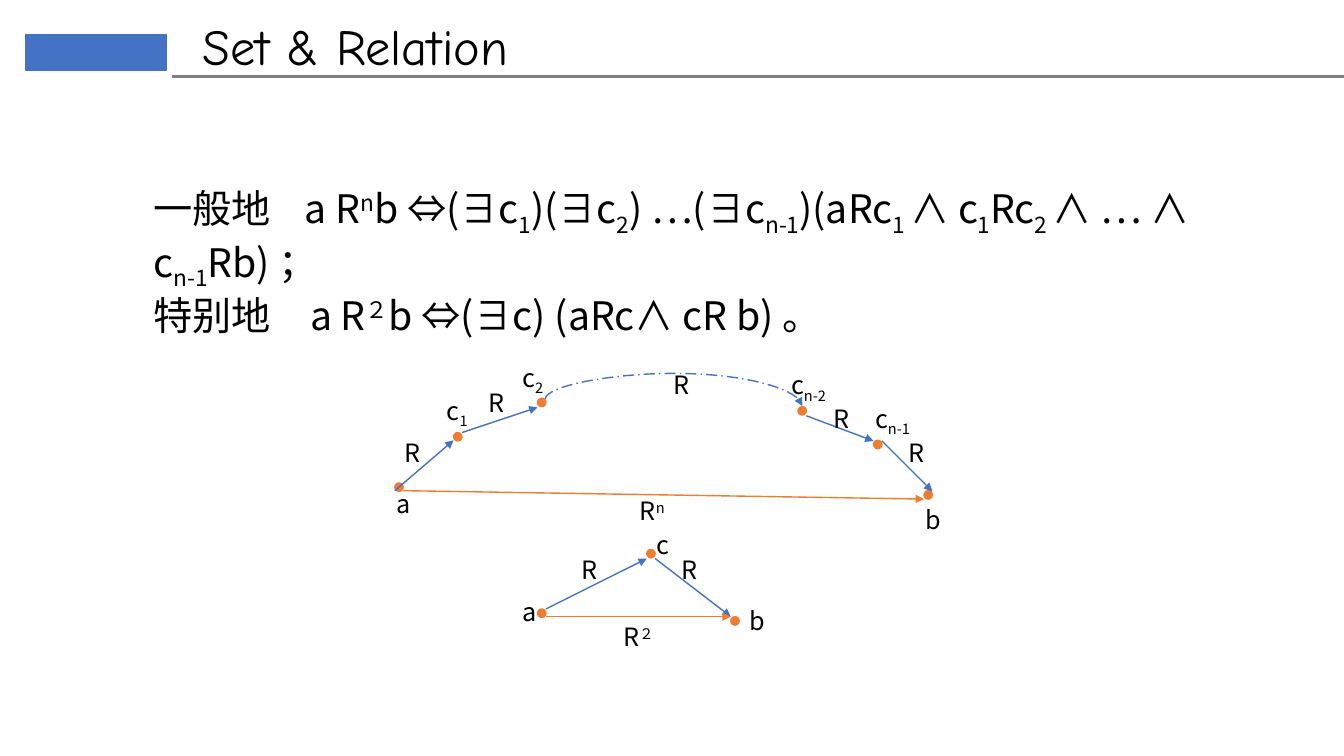
from dataclasses import dataclass

from lxml.etree import SubElement
from pptx import Presentation
from pptx.dml.color import RGBColor
from pptx.enum.dml import MSO_LINE
from pptx.enum.shapes import MSO_CONNECTOR, MSO_SHAPE
from pptx.enum.text import MSO_ANCHOR, MSO_AUTO_SIZE, PP_ALIGN
from pptx.oxml.ns import qn
from pptx.shapes.connector import Connector
from pptx.slide import Slide
from pptx.text.text import TextFrame, _Paragraph
from pptx.util import Pt

BLUE = RGBColor(0x44, 0x72, 0xC4)
ORANGE = RGBColor(0xED, 0x7D, 0x31)
GRAY = RGBColor(0x80, 0x80, 0x80)
BLACK = RGBColor(0x00, 0x00, 0x00)
TEXT_FONT = "Noto Sans CJK SC"
TITLE_FONT = "Comic Neue"
SUB, SUP = -25, 30
DOT_SIZE = 6


@dataclass(frozen=True)
class Piece:
    text: str
    shift: int = 0


@dataclass(frozen=True)
class Label:
    x: float
    y: float
    width: float
    text: str
    script: str = ""
    shift: int = SUB


@dataclass(frozen=True)
class Arrow:
    start: tuple[float, float]
    end: tuple[float, float]
    color: RGBColor = BLUE


@dataclass(frozen=True)
class Diagram:
    dots: list[tuple[float, float]]
    arrows: list[Arrow]
    labels: list[Label]


GENERAL_RULE = [
    Piece("一般地\ta R"), Piece("n", SUP), Piece("b ⇔(∃c"), Piece("1", SUB),
    Piece(")(∃c"), Piece("2", SUB), Piece(") …(∃c"), Piece("n-1", SUB),
    Piece(")(aRc"), Piece("1 ", SUB), Piece("∧ c"), Piece("1", SUB),
    Piece("Rc"), Piece("2 ", SUB), Piece("∧ … ∧ c"), Piece("n-1", SUB),
    Piece("Rb) ；"),
]
SPECIAL_RULE = [
    Piece("特别地　a R"), Piece("２", SUP), Piece("b ⇔(∃c) (aRc∧ cR b) 。"),
]

N_STEP_PATH = Diagram(
    dots=[(282, 345), (324, 309), (384, 284.5), (570, 290.5), (624, 314.5), (660, 350.5)],
    arrows=[
        Arrow((288, 350.5), (660, 356.5), ORANGE),
        Arrow((282, 350.5), (324, 314.5)),
        Arrow((330, 309), (384, 291)),
        Arrow((576, 297), (624, 315)),
        Arrow((630, 315), (666, 351)),
    ],
    labels=[
        Label(276, 345, 30, "a"),
        Label(312, 278.5, 30, "c", "1"),
        Label(366, 255, 36, "c", "2"),
        Label(654, 356.5, 30, "b"),
        Label(618, 284.5, 48, "c", "n-1"),
        Label(558, 260.5, 54, "c", "n-2"),
        Label(450, 350.5, 48, "R", "n", SUP),
        Label(282, 309, 30, "R"),
        Label(342, 273, 28, "R"),
        Label(588, 284.5, 28, "R"),
        Label(642, 309, 28, "R"),
        Label(474, 260.5, 28, "R"),
    ],
)
TWO_STEP_PATH = Diagram(
    dots=[(384, 435), (462, 392.5), (522, 440.5)],
    arrows=[
        Arrow((390, 435), (462, 399)),
        Arrow((468, 399), (522, 440.5)),
        Arrow((390, 440.5), (522, 440.5), ORANGE),
    ],
    labels=[
        Label(366, 422.5, 24, "a"),
        Label(528, 428.5, 18, "b"),
        Label(462, 374.5, 24, "c"),
        Label(438, 440.5, 54, "R", "２", SUP),
        Label(408, 392.5, 30, "R"),
        Label(480, 392.5, 30, "R"),
    ],
)


def add_run(paragraph: _Paragraph, piece: Piece, size: float, font: str = TEXT_FONT) -> None:
    run = paragraph.add_run()
    run.text = piece.text
    run.font.size = Pt(size)
    run.font.color.rgb = BLACK
    run.font.name = font
    properties = run.font._element
    SubElement(properties, qn("a:ea")).set("typeface", font)
    if piece.shift:
        properties.set("baseline", str(piece.shift * 1000))


def fit_frame(frame: TextFrame) -> None:
    frame.word_wrap = True
    frame.auto_size = MSO_AUTO_SIZE.SHAPE_TO_FIT_TEXT
    frame.vertical_anchor = MSO_ANCHOR.TOP


def tighten(paragraph: _Paragraph) -> None:
    paragraph.alignment = PP_ALIGN.LEFT
    paragraph.line_spacing = 1.0
    paragraph.space_before = Pt(0)


def add_solid(slide: Slide, kind: MSO_SHAPE, x: float, y: float,
              width: float, height: float, color: RGBColor) -> None:
    solid = slide.shapes.add_shape(kind, Pt(x), Pt(y), Pt(width), Pt(height))
    solid.shadow.inherit = False
    solid.fill.solid()
    solid.fill.fore_color.rgb = color
    solid.line.color.rgb = color
    solid.line.width = Pt(1)


def add_line(slide: Slide, kind: MSO_CONNECTOR, start: tuple[float, float],
             end: tuple[float, float], color: RGBColor, width: float) -> Connector:
    line = slide.shapes.add_connector(kind, *map(Pt, start), *map(Pt, end))
    line.line.color.rgb = color
    line.line.width = Pt(width)
    SubElement(line._element.spPr, qn("a:effectLst"))
    return line


def add_arrowhead(line: Connector) -> None:
    SubElement(line.line._get_or_add_ln(), qn("a:tailEnd")).set("type", "triangle")


def fill_title(slide: Slide) -> None:
    title = slide.shapes.title
    title.left, title.top, title.width, title.height = map(Pt, (137.5, 7, 453.5, 51))
    fit_frame(title.text_frame)
    heading = title.text_frame.paragraphs[0]
    tighten(heading)
    add_run(heading, Piece("Set & Relation"), 36, TITLE_FONT)


def fill_rules(slide: Slide) -> None:
    body = slide.placeholders[1]
    body.left, body.top, body.width, body.height = map(Pt, (102.5, 128, 776, 75))
    frame = body.text_frame
    fit_frame(frame)
    for index, rule in enumerate((GENERAL_RULE, SPECIAL_RULE)):
        paragraph = frame.add_paragraph() if index else frame.paragraphs[0]
        tighten(paragraph)
        properties = paragraph._p.get_or_add_pPr()
        properties.set("marL", "0")
        properties.set("indent", "0")
        SubElement(properties, qn("a:buNone"))
        tab = SubElement(SubElement(properties, qn("a:tabLst")), qn("a:tab"))
        tab.set("pos", str(Pt(109.5)))
        tab.set("algn", "l")
        for piece in rule:
            add_run(paragraph, piece, 28)


def draw_diagram(slide: Slide, diagram: Diagram) -> None:
    for x, y in diagram.dots:
        add_solid(slide, MSO_SHAPE.OVAL, x, y, DOT_SIZE, DOT_SIZE, ORANGE)
    for arrow in diagram.arrows:
        add_arrowhead(add_line(slide, MSO_CONNECTOR.STRAIGHT, arrow.start, arrow.end,
                               arrow.color, 1))
    for label in diagram.labels:
        height = 29 if label.script else 31
        box = slide.shapes.add_textbox(Pt(label.x), Pt(label.y), Pt(label.width), Pt(height))
        fit_frame(box.text_frame)
        paragraph = box.text_frame.paragraphs[0]
        add_run(paragraph, Piece(label.text), 18)
        if label.script:
            add_run(paragraph, Piece(label.script, label.shift), 18)


def draw_skipped_steps(slide: Slide) -> None:
    """Draw the dashed arc from c2 to cn-2, a quarter-turned curved connector."""
    arc = add_line(slide, MSO_CONNECTOR.CURVE, (478.8, 379.4), (483.8, 195.8), BLUE, 1)
    arc.line.dash_style = MSO_LINE.LONG_DASH_DOT
    add_arrowhead(arc)
    arc._element.spPr.find(qn("a:xfrm")).set("rot", str(90 * 60000))
    guides = arc._element.spPr.find(qn("a:prstGeom")).get_or_add_avLst()
    bend = SubElement(guides, qn("a:gd"))
    bend.set("name", "adj1")
    bend.set("fmla", "val -368300")


def main() -> None:
    deck = Presentation()
    deck.slide_width, deck.slide_height = Pt(960), Pt(540)
    slide = deck.slides.add_slide(deck.slide_layouts[1])
    add_solid(slide, MSO_SHAPE.RECTANGLE, 18, 25, 101, 25, BLUE)
    add_line(slide, MSO_CONNECTOR.STRAIGHT, (123, 54.5), (960, 54.5), GRAY, 2)
    fill_title(slide)
    fill_rules(slide)
    draw_diagram(slide, N_STEP_PATH)
    draw_skipped_steps(slide)
    draw_diagram(slide, TWO_STEP_PATH)
    deck.save("out.pptx")


if __name__ == "__main__":
    main()
